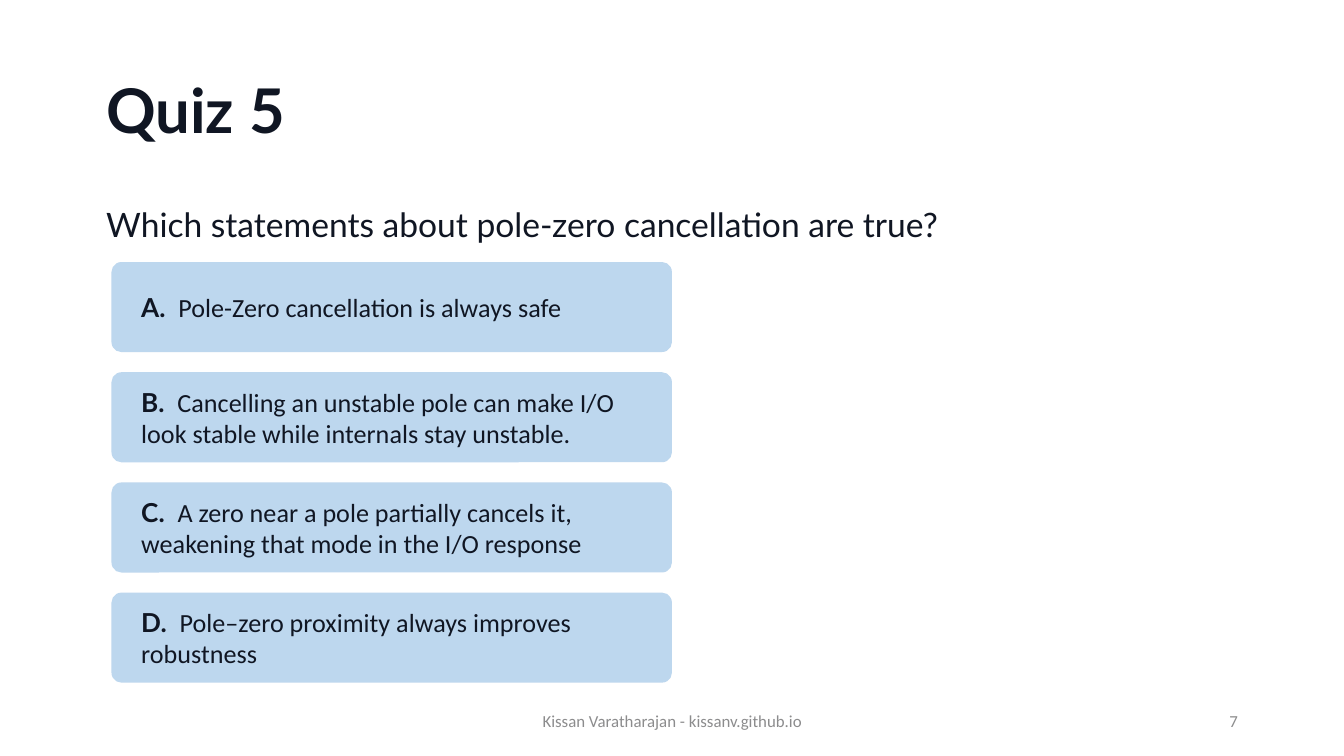
from lxml import etree
from pptx import Presentation
from pptx import util as u
from pptx.dml.color import RGBColor
from pptx.enum import shapes, text

INK = "101623"
GREY = "8C8C8D"
PALE_BLUE = "BDD7EE"
LEFT, CENTER, RIGHT = text.PP_ALIGN.LEFT, text.PP_ALIGN.CENTER, text.PP_ALIGN.RIGHT
TOP, MIDDLE = text.MSO_ANCHOR.TOP, text.MSO_ANCHOR.MIDDLE

ANSWERS = [
    "Pole-Zero cancellation is always safe",
    "Cancelling an unstable pole can make I/O look stable while internals stay unstable.",
    "A zero near a pole partially cancels it, weakening that mode in the I/O response",
    "Pole–zero proximity always improves robustness",
]


def color(value):
    return RGBColor.from_string(value)


def place(shape, box):
    shape.left, shape.top, shape.width, shape.height = map(u.Inches, box)


def add_span(para, words, size, font="Lato", ink=INK, bold=False):
    span = para.add_run()
    span.text = words
    span.font.size = u.Pt(size)
    span.font.name = font
    span.font.bold = bold
    span.font.color.rgb = color(ink)


def write(shape, spans, align=LEFT, anchor=MIDDLE, spacing=1.0, inset=0.1):
    """Fill a shape with one paragraph; spans are (words, format) pairs."""
    frame = shape.text_frame
    frame.word_wrap = True
    frame.auto_size = text.MSO_AUTO_SIZE.NONE
    frame.vertical_anchor = anchor
    frame.margin_left, frame.margin_right = u.Inches(inset), u.Inches(0.1)
    frame.margin_top = frame.margin_bottom = u.Inches(0.05)
    para = frame.paragraphs[0]
    para.alignment = align
    para.line_spacing = spacing
    para.space_before = u.Pt(0)
    for words, style in spans:
        add_span(para, words, **style)
    return para


def remove_bullet(para):
    properties = para._p.get_or_add_pPr()
    properties.set("marL", "0")
    properties.set("indent", "0")
    namespace = properties.nsmap["a"]
    etree.SubElement(properties, f"{{{namespace}}}buNone")


def add_heading(page, title_box, question_box):
    title, question = page.shapes.title, page.placeholders[1]
    place(title, title_box)
    write(title, [("Quiz 5", dict(size=33, bold=True))], spacing=0.9)
    place(question, question_box)
    words = "Which statements about pole-zero cancellation are true?"
    remove_bullet(write(question, [(words, dict(size=18))], anchor=TOP, spacing=0.9))


def add_answers(page, box, card_height=0.67):
    """Stack lettered answer cards with equal gaps from top to bottom of the box."""
    left, top, width, height = box
    step = (height - card_height) / (len(ANSWERS) - 1)
    for index, (letter, answer) in enumerate(zip("ABCD", ANSWERS)):
        card = page.shapes.add_shape(shapes.MSO_SHAPE.ROUNDED_RECTANGLE, 0, 0, 0, 0)
        place(card, (left, top + index * step, width, card_height))
        card.adjustments[0] = 0.11
        card.shadow.inherit = False
        card.fill.solid()
        card.fill.fore_color.rgb = color(PALE_BLUE)
        card.line.fill.background()
        write(card, [(f"{letter}.  ", dict(size=14, bold=True)),
                     (answer, dict(size=14, font="Calibri"))], inset=0.2)


def add_footer(page, box):
    """Put the credit in the middle of the box and the page number at its right."""
    left, top, width, height = box
    credit_width, number_width = 3.38, 2.25
    parts = [
        ("Kissan Varatharajan - kissanv.github.io",
         left + (width - credit_width) / 2, credit_width, CENTER),
        ("7", left + width - number_width, number_width, RIGHT),
    ]
    for words, start, part_width, align in parts:
        label = page.shapes.add_textbox(0, 0, 0, 0)
        place(label, (start, top, part_width, height))
        write(label, [(words, dict(size=9, font="Calibri", ink=GREY))], align=align)


def main():
    deck = Presentation()
    deck.slide_width = u.Inches(10)
    deck.slide_height = u.Inches(10 * 9 / 16)
    page = deck.slides.add_slide(deck.slide_layouts[1])
    add_heading(page, (0.69, 0.3, 8.62, 1.09), (0.69, 1.5, 8.62, 3.57))
    add_footer(page, (0.69, 5.21, 8.62, 0.3))
    add_answers(page, (0.83, 1.95, 4.17, 3.13))
    deck.save("out.pptx")


if __name__ == "__main__":
    main()
